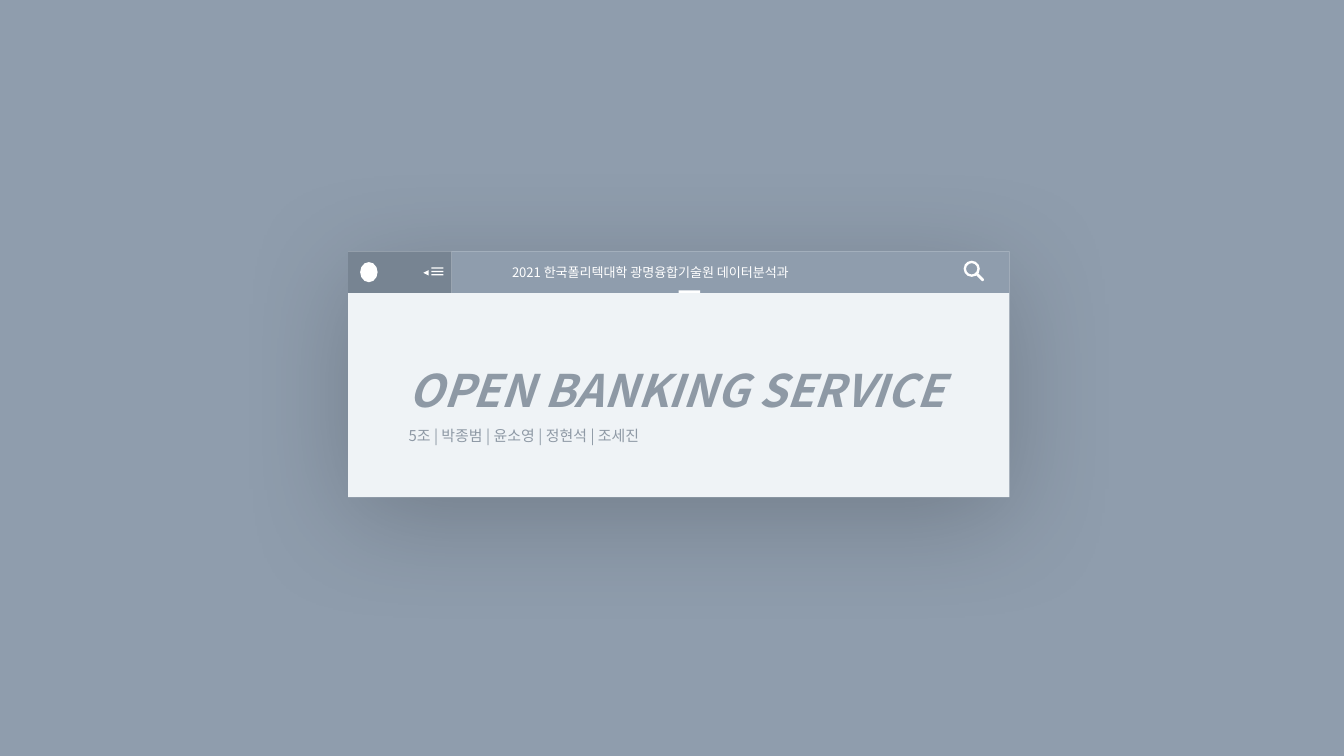
from lxml import etree
from pptx import Presentation
from pptx.dml.color import RGBColor
from pptx.enum import shapes, text
from pptx.oxml import ns
from pptx.util import Inches, Pt

BLUE_GREY = RGBColor(0x8F, 0x9D, 0xAD)
DARK_GREY = RGBColor(0x77, 0x84, 0x92)
TEXT_GREY = RGBColor(0x8E, 0x99, 0xA5)
PALE = RGBColor(0xEF, 0xF3, 0xF6)
WHITE = RGBColor(0xFF, 0xFF, 0xFF)
FONT = "Noto Sans CJK KR"
KIND = shapes.MSO_SHAPE


def add_shape(kind, x, y, w, h, color, rotation=0):
    sp = s.shapes.add_shape(kind, Inches(x), Inches(y), Inches(w), Inches(h))
    sp.shadow.inherit = False
    sp.fill.solid()
    sp.fill.fore_color.rgb = color
    sp.line.fill.background()
    sp.rotation = rotation
    return sp


def add_run(p, words, size, color, bold=False):
    """Add a left-aligned run; bold text is also italic."""
    p.alignment = text.PP_ALIGN.LEFT
    r = p.add_run()
    r.text = words
    r.font.size = Pt(size)
    r.font.name = FONT
    r.font.color.rgb = color
    r.font.bold = r.font.italic = bold
    ea = etree.SubElement(r.font._element, ns.qn("a:ea"))
    ea.set("typeface", FONT)


prs = Presentation()
prs.slide_width, prs.slide_height = Inches(10), Inches(10 * 9 / 16)
s = prs.slides.add_slide(prs.slide_layouts[6])
s.background.fill.solid()
s.background.fill.fore_color.rgb = BLUE_GREY

# Card with a soft shadow
card = add_shape(KIND.RECTANGLE, 2.59, 1.87, 4.92, 1.83, PALE)
effects = card._element.spPr.find(ns.qn("a:effectLst"))
shadow = etree.SubElement(effects, ns.qn("a:outerShdw"), blurRad=str(Pt(61)),
                          dist=str(Pt(12)), dir="5400000", algn="t", rotWithShape="0")
black = etree.SubElement(shadow, ns.qn("a:srgbClr"), val="000000")
etree.SubElement(black, ns.qn("a:alpha"), val="20000")

tf = card.text_frame
tf.word_wrap = True
tf.vertical_anchor = text.MSO_ANCHOR.TOP
tf.margin_left, tf.margin_right = Inches(0.45), Inches(0.07)
tf.margin_top, tf.margin_bottom = Inches(0.83), Inches(0.04)
add_run(tf.paragraphs[0], "OPEN BANKING SERVICE", 24, TEXT_GREY, bold=True)
p = tf.add_paragraph()
p.space_before = Pt(5.3)
add_run(p, "5조 | 박종범 | 윤소영 | 정현석 | 조세진", 8, TEXT_GREY)

# Menu corner: plain emblem, menu lines and arrow
add_shape(KIND.RECTANGLE, 2.59, 1.87, 0.77, 0.31, DARK_GREY)
add_shape(KIND.OVAL, 2.68, 1.95, 0.13, 0.15, WHITE)
for i in range(3):
    add_shape(KIND.RECTANGLE, 3.21, 1.99 + 0.025 * i, 0.09, 0.01, WHITE)
add_shape(KIND.ISOSCELES_TRIANGLE, 3.15, 2.01, 0.04, 0.04, WHITE, 270)

# Title bar with its tab marker
bar = add_shape(KIND.RECTANGLE, 3.36, 1.87, 4.15, 0.31, BLUE_GREY)
tf = bar.text_frame
tf.word_wrap = True
tf.vertical_anchor = text.MSO_ANCHOR.MIDDLE
tf.margin_left, tf.margin_right = Inches(0.45), Inches(0.07)
tf.margin_top = tf.margin_bottom = Inches(0.04)
add_run(tf.paragraphs[0], "2021 한국폴리텍대학 광명융합기술원 데이터분석과", 7, WHITE)
add_shape(KIND.RECTANGLE, 5.12, 2.09, 0.02, 0.16, WHITE, 270)

# Magnifier
lens = add_shape(KIND.DONUT, 7.17, 1.94, 0.12, 0.12, WHITE)
lens.adjustments[0] = 0.15
handle = add_shape(KIND.ROUNDED_RECTANGLE, 7.28, 2.02, 0.02, 0.08, WHITE, 315)
handle.adjustments[0] = 0.5

prs.save("out.pptx")
